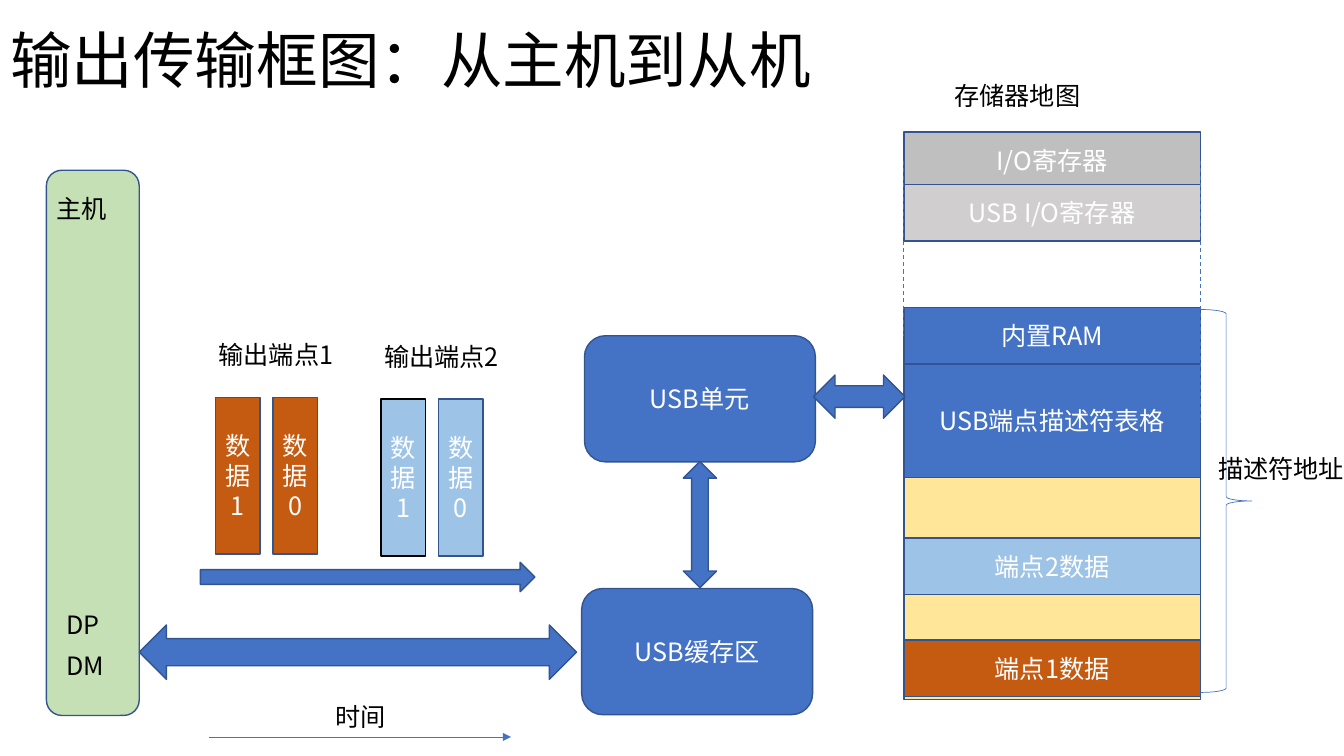
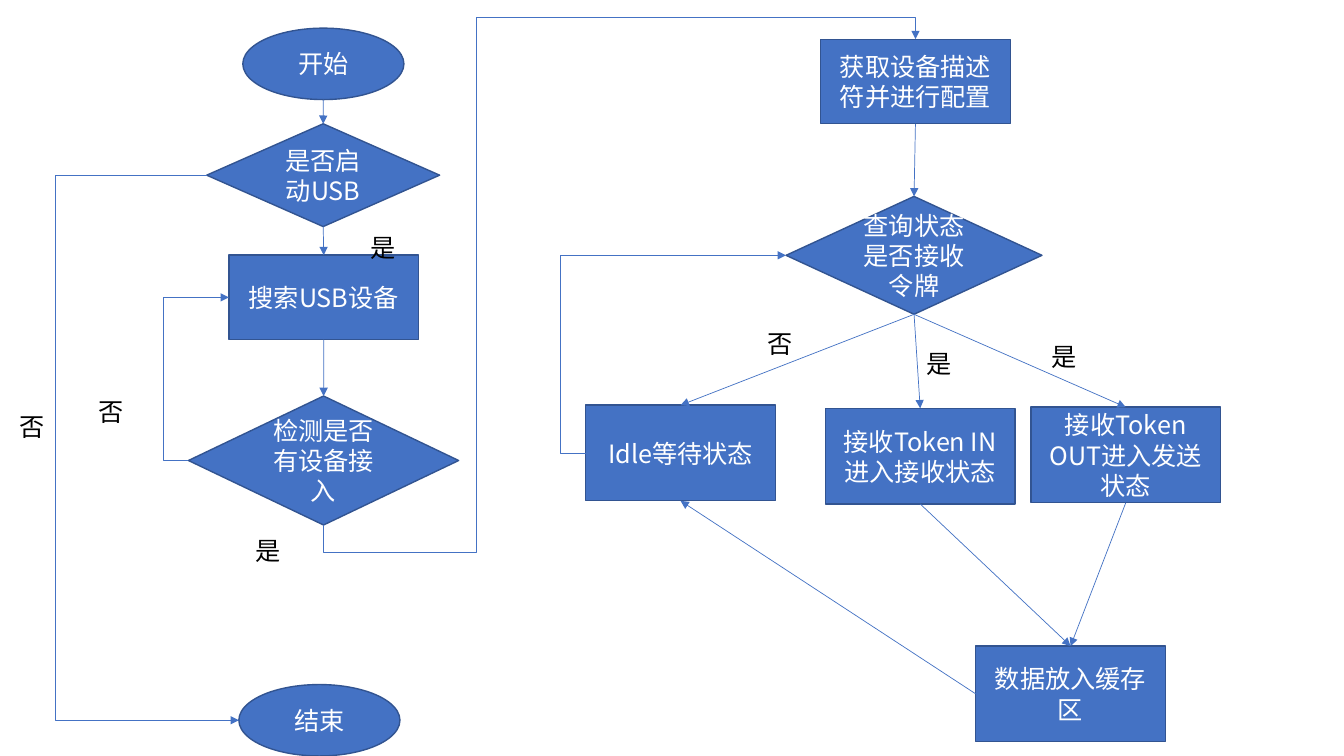
import pptx
import pptx.dml.color
import pptx.enum.dml
import pptx.enum.shapes
import pptx.enum.text
import pptx.oxml
import pptx.oxml.ns
import pptx.util

Cm = pptx.util.Cm
Pt = pptx.util.Pt
KIND = pptx.enum.shapes.MSO_SHAPE
ROUTE = pptx.enum.shapes.MSO_CONNECTOR
ALIGN = pptx.enum.text.PP_ALIGN
ANCHOR = pptx.enum.text.MSO_ANCHOR
FIT = pptx.enum.text.MSO_AUTO_SIZE

FONT = "Noto Sans CJK SC"
BLUE, OUTLINE, SKY, RUST = "4472C4", "325491", "9DC3E6", "C55A11"
GREEN, YELLOW, GREY, PALE_GREY = "C5E0B4", "FFE699", "BFBFBF", "D0CECE"
WHITE, BLACK = "FFFFFF", "000000"

MAP_LEFT, MAP_WIDTH, ROW_HEIGHT = 22.78, 7.47, 1.42
SITES = {"top": 0, "left": 1, "bottom": 2, "right": 3}


def rgb(value):
    return pptx.dml.color.RGBColor.from_string(value)


def child(parent, tag, **attributes):
    element = pptx.oxml.ns.qn(tag)
    node = parent.makeelement(element, attributes)
    parent.append(node)
    return node


def write(frame, text, size=18, color=BLACK, align=ALIGN.LEFT, spacing=None):
    paragraph = frame.paragraphs[0]
    paragraph.alignment = align
    if spacing:
        paragraph.line_spacing = spacing
    run = paragraph.add_run()
    run.text = text
    run.font.size = Pt(size)
    run.font.name = FONT
    run.font.color.rgb = rgb(color)
    child(run.font._element, "a:ea", typeface=FONT)


def add_title(slide, text):
    title = slide.shapes.title
    title.left, title.top, title.width, title.height = Cm(0), Cm(-0.25), Cm(29.21), Cm(3.68)
    title.text_frame.vertical_anchor = ANCHOR.MIDDLE
    title.text_frame.auto_size = FIT.NONE
    write(title.text_frame, text, size=44, spacing=0.9)


def add_label(slide, text, left, top, width=5.44):
    label = slide.shapes.add_textbox(Cm(left), Cm(top), Cm(width), Cm(1.02))
    label.text_frame.word_wrap = True
    label.text_frame.auto_size = FIT.SHAPE_TO_FIT_TEXT
    write(label.text_frame, text)


def add_block(slide, kind, left, top, width, height, text="", fill=BLUE, line=OUTLINE, weight=1):
    block = slide.shapes.add_shape(kind, Cm(left), Cm(top), Cm(width), Cm(height))
    block.shadow.inherit = False
    if fill:
        block.fill.solid()
        block.fill.fore_color.rgb = rgb(fill)
    else:
        block.fill.background()
    block.line.color.rgb = rgb(line)
    block.line.width = Pt(weight)
    if text:
        write(block.text_frame, text, color=WHITE, align=ALIGN.CENTER)
    return block


def add_line(slide, start, end, route=ROUTE.STRAIGHT, weight=0.5, dashed=False):
    line = slide.shapes.add_connector(route, *start, *end)
    line.line.color.rgb = rgb(BLUE)
    line.line.width = Pt(weight)
    properties = line._element.spPr
    if dashed:
        line.line.dash_style = pptx.enum.dml.MSO_LINE.DASH
    else:
        child(line.line._get_or_add_ln(), "a:tailEnd", type="triangle")
    child(properties, "a:effectLst")
    return line


def site(node, side):
    x = {"left": 0, "right": node.width}.get(side, node.width // 2)
    y = {"top": 0, "bottom": node.height}.get(side, node.height // 2)
    return node.left + x, node.top + y


def link(slide, source, target, leave="bottom", enter="top"):
    arrow = add_line(slide, site(source, leave), site(target, enter))
    if source.auto_shape_type != KIND.OVAL:
        arrow.begin_connect(source, SITES[leave])
    arrow.end_connect(target, SITES[enter])


def set_bends(arrow, preset, ratios):
    geometry = arrow._element.spPr.find(pptx.oxml.ns.qn("a:prstGeom"))
    geometry.set("prst", preset)
    for old in list(geometry):
        geometry.remove(old)
    guides = child(geometry, "a:avLst")
    for number, ratio in enumerate(ratios, 1):
        child(guides, "a:gd", name=f"adj{number}", fmla=f"val {round(ratio * 100000)}")


def loop_left(slide, source, target, rail):
    start, end = site(source, "left"), site(target, "left")
    arrow = add_line(slide, start, end, ROUTE.ELBOW)
    set_bends(arrow, "bentConnector3", [(Cm(rail) - start[0]) / (end[0] - start[0])])


def climb(slide, source, target, low, rail, high):
    (x0, y0), (x1, y1) = site(source, "bottom"), site(target, "top")
    center_x, center_y = (x0 + x1) // 2, (y0 + y1) // 2
    half_width, half_height = (y0 - y1) // 2, (x1 - x0) // 2
    arrow = add_line(
        slide,
        (center_x + half_width, center_y + half_height),
        (center_x - half_width, center_y - half_height),
        ROUTE.ELBOW,
    )
    arrow._element.spPr.find(pptx.oxml.ns.qn("a:xfrm")).set("rot", "5400000")
    set_bends(arrow, "bentConnector5", [
        (Cm(low) - y0) / (y1 - y0),
        (Cm(rail) - x0) / (x1 - x0),
        (Cm(high) - y0) / (y1 - y0),
    ])


def draw_memory_map(slide):
    add_block(slide, KIND.RECTANGLE, MAP_LEFT, 7.8, MAP_WIDTH, 9.83, fill=YELLOW)
    for text, top, height, fill in (
        ("I/O寄存器", 3.33, ROW_HEIGHT, GREY),
        ("USB I/O寄存器", 4.65, ROW_HEIGHT, PALE_GREY),
        ("内置RAM", 7.75, ROW_HEIGHT, BLUE),
        ("USB端点描述符表格", 9.17, 2.87, BLUE),
        ("端点1数据", 16.13, ROW_HEIGHT, RUST),
        ("端点2数据", 13.56, ROW_HEIGHT, SKY),
    ):
        add_block(slide, KIND.RECTANGLE, MAP_LEFT, top, MAP_WIDTH, height, text, fill)
    for x, bottom in ((MAP_LEFT, 8.46), (MAP_LEFT + MAP_WIDTH, 10.62)):
        add_line(slide, (Cm(x), Cm(4.06)), (Cm(x), Cm(bottom)), weight=0.75, dashed=True)
    add_block(slide, KIND.RIGHT_BRACE, MAP_LEFT + MAP_WIDTH, 7.8, 1.3, 9.65,
              fill=None, line=BLUE, weight=0.5)
    add_label(slide, "存储器地图", 23.8, 1.9)
    add_label(slide, "描述符地址", 30.45, 11.3)


def draw_endpoints(slide):
    for text, left, top, fill, first_line in (
        ("输出端点1", 5.43, 10.01, RUST, OUTLINE),
        ("输出端点2", 9.6, 10.06, SKY, BLACK),
    ):
        add_label(slide, text, left - 0.17, top - 1.59, 3.86)
        for column, (packet, line) in enumerate((("数据1", first_line), ("数据0", OUTLINE))):
            add_block(slide, KIND.RECTANGLE, left + 1.45 * column, top, 1.12, 3.95,
                      packet, fill, line)


def draw_transfer(slide):
    add_title(slide, "输出传输框图：从主机到从机")
    add_block(slide, KIND.ROUNDED_RECTANGLE, 1.17, 4.29, 2.34, 13.74, fill=GREEN)
    for text, left, top in (("主机", 1.17, 4.75), ("DP", 1.42, 15.24), ("DM", 1.42, 16.26)):
        add_label(slide, text, left, top)
    for text, left, top in (("USB单元", 14.73, 8.46), ("USB缓存区", 14.66, 14.83)):
        add_block(slide, KIND.ROUNDED_RECTANGLE, left, top, 5.82, 3.18, text)
    draw_memory_map(slide)
    draw_endpoints(slide)
    for kind, *box in (
        (KIND.LEFT_RIGHT_ARROW, 3.51, 15.75, 11.02, 1.37),
        (KIND.UP_DOWN_ARROW, 17.22, 11.63, 0.84, 3.18),
        (KIND.LEFT_RIGHT_ARROW, 20.5, 9.45, 2.31, 1.09),
        (KIND.RIGHT_ARROW, 5.05, 14.17, 8.43, 0.74),
    ):
        add_block(slide, kind, *box)
    add_line(slide, (Cm(5.26), Cm(18.57)), (Cm(12.88), Cm(18.57)))
    add_label(slide, "时间", 8.2, 17.55, 3.86)


def draw_flow(slide):
    def terminal(text, left, top):
        return add_block(slide, KIND.OVAL, left, top, 4.06, 1.8, text)

    def decision(text, left, top, width, height):
        return add_block(slide, KIND.FLOWCHART_DECISION, left, top, width, height, text)

    def step(text, left, top, height=2.41):
        return add_block(slide, KIND.RECTANGLE, left, top, 4.78, height, text)

    begin = terminal("开始", 6.12, 0.71)
    finish = terminal("结束", 6.02, 17.25)
    enabled = decision("是否启动USB", 5.21, 3.12, 5.87, 2.59)
    detected = decision("检测是否有设备接入", 4.75, 9.98, 6.81, 3.25)
    query = decision("查询状态是否接收令牌", 19.81, 4.95, 6.45, 2.97)
    search = step("搜索USB设备", 5.77, 6.43, 2.13)
    configure = step("获取设备描述符并进行配置", 20.68, 0.99, 2.13)
    idle = step("Idle等待状态", 14.76, 10.21)
    receive = step("接收Token IN进入接收状态", 20.8, 10.29)
    send = step("接收Token OUT进入发送状态", 25.98, 10.26)
    store = step("数据放入缓存区", 24.59, 16.28)

    for source, target in (
        (begin, enabled), (enabled, search), (search, detected), (configure, query),
        (query, idle), (query, receive), (query, send), (receive, store), (send, store),
    ):
        link(slide, source, target)
    link(slide, store, idle, "left", "bottom")
    for source, target, rail in (
        (detected, search, 4.11), (enabled, finish, 1.4), (idle, query, 14.12),
    ):
        loop_left(slide, source, target, rail)
    climb(slide, detected, configure, 13.92, 12.01, 0.43)

    for text, left, top in (
        ("否", 0.25, 10.24), ("否", 2.24, 9.86), ("否", 19.1, 8.15),
        ("是", 6.2, 13.36), ("是", 9.09, 5.72), ("是", 23.11, 8.66), ("是", 26.26, 8.48),
    ):
        add_label(slide, text, left, top, 2.31)


def main():
    deck = pptx.Presentation()
    deck.slide_width, deck.slide_height = Cm(33.87), Cm(19.05)
    draw_transfer(deck.slides.add_slide(deck.slide_layouts[5]))
    draw_flow(deck.slides.add_slide(deck.slide_layouts[6]))
    deck.save("out.pptx")


if __name__ == "__main__":
    main()
